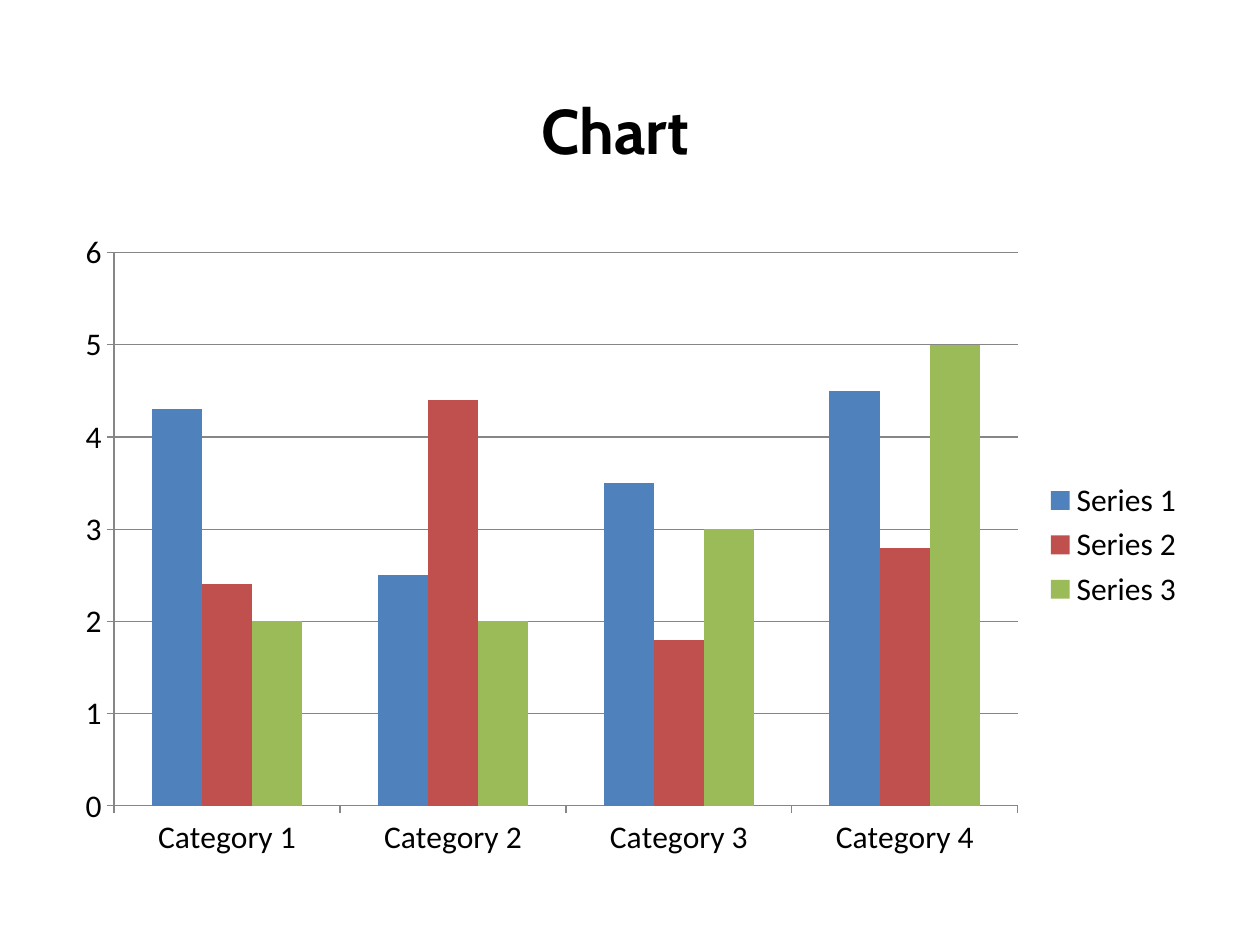
from pptx import Presentation
from pptx.chart.data import CategoryChartData as Data
from pptx.dml.color import RGBColor as RGB
from pptx.enum.chart import XL_CHART_TYPE as Kind, XL_LEGEND_POSITION as Spot
from pptx.enum.chart import XL_TICK_MARK as Tick
from pptx.enum.text import MSO_ANCHOR as Anchor, MSO_AUTO_SIZE as Fit, PP_ALIGN as Align
from pptx.util import Inches, Pt

BLACK = RGB(0, 0, 0)
GREY = RGB(0x86, 0x86, 0x86)
BLUE = RGB(0x4F, 0x81, 0xBD)
RED = RGB(0xC0, 0x50, 0x4D)
GREEN = RGB(0x9B, 0xBB, 0x59)

deck = Presentation()
deck.slide_width, deck.slide_height = Inches(10), Inches(7.5)
slide = deck.slides.add_slide(deck.slide_layouts[5])

title = slide.shapes.title
title.left, title.top = Inches(3.74), Inches(0.68)
title.width, title.height = Inches(2.28), Inches(0.71)
frame = title.text_frame
frame.text = "Chart"
frame.auto_size = Fit.SHAPE_TO_FIT_TEXT
frame.vertical_anchor = Anchor.TOP
para = frame.paragraphs[0]
para.alignment = Align.CENTER
font = para.runs[0].font
font.name, font.size, font.bold = "Cabin", Pt(36), True
font.color.rgb = BLACK

rows = [
    ("Series 1", (4.3, 2.5, 3.5, 4.5), BLUE),
    ("Series 2", (2.4, 4.4, 1.8, 2.8), RED),
    ("Series 3", (2, 2, 3, 5), GREEN),
]
data = Data()
data.categories = [f"Category {n}" for n in range(1, 5)]
for name, vals, color in rows:
    data.add_series(name, vals)
chart = slide.shapes.add_chart(
    Kind.COLUMN_CLUSTERED, Inches(0.5), Inches(1.75), Inches(9), Inches(5.15), data
).chart
chart.has_title = False
chart.font.name, chart.font.size = "Calibri", Pt(18)
chart.font.color.rgb = BLACK
chart.has_legend = True
chart.legend.position = Spot.RIGHT
chart.legend.include_in_layout = False

plot = chart.plots[0]
plot.gap_width, plot.overlap = 150, 0
plot.vary_by_categories = False
for bars, (name, vals, color) in zip(plot.series, rows):
    bars.format.fill.solid()
    bars.format.fill.fore_color.rgb = color
    bars.invert_if_negative = False

scale = chart.value_axis
scale.minimum_scale, scale.maximum_scale, scale.major_unit = 0, 6, 1
scale.has_major_gridlines = True
for axis in (chart.category_axis, scale):
    axis.major_tick_mark = Tick.OUTSIDE
    axis.minor_tick_mark = Tick.NONE
for part in (chart.category_axis, scale, scale.major_gridlines):
    part.format.line.color.rgb = GREY
    part.format.line.width = Pt(0.75)

deck.save("out.pptx")
